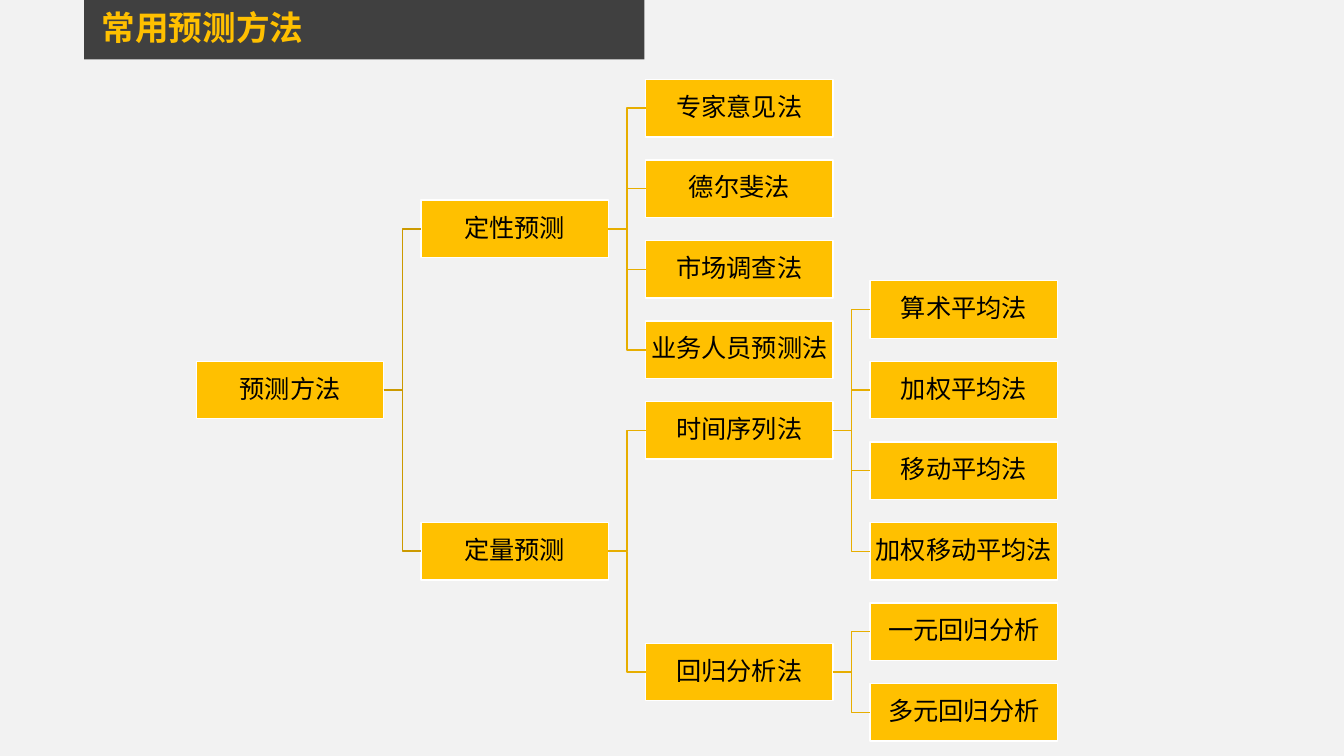
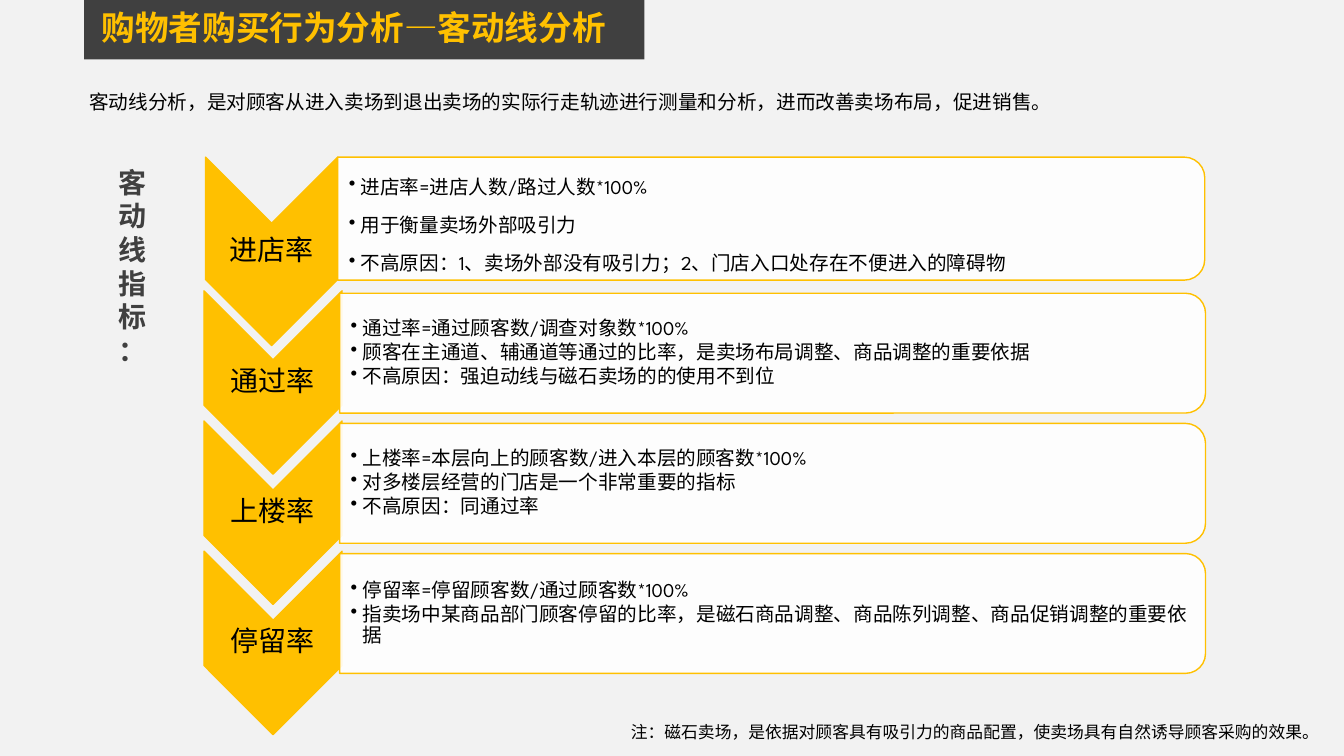
from lxml.etree import SubElement
from pptx import Presentation
from pptx.dml.color import RGBColor
from pptx.enum.lang import MSO_LANGUAGE_ID
from pptx.enum.shapes import MSO_CONNECTOR, MSO_SHAPE
from pptx.enum.text import MSO_ANCHOR, MSO_AUTO_SIZE, PP_ALIGN
from pptx.oxml.ns import qn
from pptx.util import Cm, Pt

AMBER = RGBColor(0xFF, 0xC0, 0x00)
BRANCH_LINE = RGBColor(0xE7, 0xAE, 0x00)
ROOT_LINE = RGBColor(0xCC, 0x9A, 0x00)
CHARCOAL = RGBColor(0x40, 0x40, 0x40)
PALE_GREY = RGBColor(0xF2, 0xF2, 0xF2)
WHITE = RGBColor(0xFF, 0xFF, 0xFF)
BLACK = RGBColor(0x00, 0x00, 0x00)
FONT = "League Spartan"


def add_run(para, text, size, color=BLACK, bold=False):
    span = para.add_run()
    span.text = text
    span.font.name = FONT
    span.font.size = Pt(size)
    span.font.bold = bold
    span.font.color.rgb = color
    span.font.language_id = MSO_LANGUAGE_ID.SIMPLIFIED_CHINESE


def add_text_box(page, left, top, width, height):
    box = page.shapes.add_textbox(Cm(left), Cm(top), Cm(width), Cm(height))
    box.text_frame.word_wrap = True
    return box


deck = Presentation()
deck.slide_width = Cm(33.87)
deck.slide_height = Cm(19.05)

# Shared look: background, title band and title position
background = deck.slide_master.background.fill
background.solid()
background.fore_color.rgb = PALE_GREY

layout = deck.slide_layouts[5]
title_area = layout.placeholders[0]
title_area.left, title_area.top = Cm(2.31), Cm(0.15)
title_area.width, title_area.height = Cm(15.11), Cm(1.27)
title_area.text_frame.vertical_anchor = MSO_ANCHOR.TOP
title_area.text_frame.auto_size = MSO_AUTO_SIZE.NONE

pages = []
for heading in ("常用预测方法", "购物者购买行为分析—客动线分析"):
    page = deck.slides.add_slide(layout)
    para = page.shapes.title.text_frame.paragraphs[0]
    para.alignment = PP_ALIGN.LEFT
    para.line_spacing = 0.9
    add_run(para, heading, 24, AMBER, bold=True)
    pages.append(page)
tree_page, flow_page = pages

band = tree_page.shapes.add_shape(MSO_SHAPE.RECTANGLE, Cm(2.12), 0, Cm(14.12), Cm(1.5))
band.shadow.inherit = False
band.fill.solid()
band.fill.fore_color.rgb = CHARCOAL
band.line.fill.background()
layout.shapes.element.insert(2, band.element)  # behind the title, on every page

# Slide 1: tree of forecasting methods
BOX_WIDTH, BOX_HEIGHT = 4.72, 1.45
TREE_LEFT, TREE_TOP = 4.95, 2.0
COLUMN_PITCH, ROW_PITCH = 5.66, 2.03

QUALITATIVE = ["专家意见法", "德尔斐法", "市场调查法", "业务人员预测法"]
TIME_SERIES = ["算术平均法", "加权平均法", "移动平均法", "加权移动平均法"]
REGRESSION = ["一元回归分析", "多元回归分析"]

# Name, column, children; children come before their parent
NODES = [(name, 2, []) for name in QUALITATIVE]
NODES += [(name, 3, []) for name in TIME_SERIES + REGRESSION]
NODES += [
    ("时间序列法", 2, TIME_SERIES),
    ("回归分析法", 2, REGRESSION),
    ("定性预测", 1, QUALITATIVE),
    ("定量预测", 1, ["时间序列法", "回归分析法"]),
    ("预测方法", 0, ["定性预测", "定量预测"]),
]
next_leaf_row = {2: 0, 3: 2.5}
rows, boxes = {}, {}
for name, column, children in NODES:
    if children:
        rows[name] = (rows[children[0]] + rows[children[-1]]) / 2
    else:
        rows[name] = next_leaf_row[column]
        next_leaf_row[column] += 1
    box = tree_page.shapes.add_shape(
        MSO_SHAPE.RECTANGLE,
        Cm(TREE_LEFT + column * COLUMN_PITCH), Cm(TREE_TOP + rows[name] * ROW_PITCH),
        Cm(BOX_WIDTH), Cm(BOX_HEIGHT))
    box.shadow.inherit = False
    box.fill.solid()
    box.fill.fore_color.rgb = AMBER
    box.line.color.rgb = WHITE
    box.line.width = Pt(1)
    frame = box.text_frame
    frame.margin_left = frame.margin_right = frame.margin_top = frame.margin_bottom = Cm(0.03)
    para = frame.paragraphs[0]
    para.alignment = PP_ALIGN.CENTER
    para.line_spacing = 0.9
    add_run(para, name, 18)
    boxes[name] = box

    for child in children:
        link = tree_page.shapes.add_connector(MSO_CONNECTOR.ELBOW, 0, 0, 0, 0)
        link.begin_connect(box, 3)
        link.end_connect(boxes[child], 1)
        link.line.color.rgb = BRANCH_LINE if column else ROOT_LINE
        link.line.width = Pt(1)
        SubElement(link.element.spPr, qn("a:effectLst"))

# Slide 2: shopper flow indicators
intro = add_text_box(flow_page, 2.0, 2.13, 31.45, 0.86)
add_run(intro.text_frame.paragraphs[0],
        "客动线分析，是对顾客从进入卖场到退出卖场的实际行走轨迹进行测量和分析，进而改善卖场布局，促进销售。", 14)

side_heading = add_text_box(flow_page, 2.74, 4.04, 0.76, 5.38)
side_heading.fill.solid()
side_heading.fill.fore_color.rgb = PALE_GREY
add_run(side_heading.text_frame.paragraphs[0], "客动线指标：", 20, CHARCOAL, bold=True)

INDICATORS = [
    ("进店率", ["进店率=进店人数/路过人数*100%",
             "用于衡量卖场外部吸引力",
             "不高原因：1、卖场外部没有吸引力；2、门店入口处存在不便进入的障碍物"]),
    ("通过率", ["通过率=通过顾客数/调查对象数*100%",
             "顾客在主通道、辅通道等通过的比率，是卖场布局调整、商品调整的重要依据",
             "不高原因：强迫动线与磁石卖场的的使用不到位"]),
    ("上楼率", ["上楼率=本层向上的顾客数/进入本层的顾客数*100%",
             "对多楼层经营的门店是一个非常重要的指标",
             "不高原因：同通过率"]),
    ("停留率", ["停留率=停留顾客数/通过顾客数*100%",
             "指卖场中某商品部门顾客停留的比率，是磁石商品调整、商品陈列调整、商品促销调整的重要依据"]),
]
STEP_PITCH = 3.28
for number, (label, facts) in enumerate(INDICATORS):
    # Left, top, width, height as seen; the first step is slightly taller
    if number == 0:
        chevron_area = (5.18, 3.96, 3.33, 4.75)
        card_area = (8.51, 3.96, 21.85, 3.1)
        spacing = 1.5
    else:
        offset = (number - 1) * STEP_PITCH
        chevron_area = (5.14, 7.33 + offset, 3.48, 4.62)
        card_area = (8.56, 7.39 + offset, 21.82, 3.02)
        spacing = 0.9

    for preset, color, area in ((MSO_SHAPE.CHEVRON, AMBER, chevron_area),
                                (MSO_SHAPE.ROUND_2_SAME_RECTANGLE, WHITE, card_area)):
        left, top, width, height = area
        shape = flow_page.shapes.add_shape(
            preset, Cm(left + (width - height) / 2), Cm(top + (height - width) / 2),
            Cm(height), Cm(width))
        shape.rotation = 90
        shape.shadow.inherit = False
        shape.fill.solid()
        shape.fill.fore_color.rgb = color
        shape.line.color.rgb = AMBER
        shape.line.width = Pt(1)
    card_color = shape.element.spPr.find(qn("a:solidFill")).find(qn("a:srgbClr"))
    SubElement(card_color, qn("a:alpha"), val="90000")

    left, top, width, height = chevron_area
    name_box = add_text_box(flow_page, left, top + height / 2 - 0.58, width, 1.16)
    name_box.text_frame.vertical_anchor = MSO_ANCHOR.MIDDLE
    para = name_box.text_frame.paragraphs[0]
    para.alignment = PP_ALIGN.CENTER
    para.line_spacing = 0.9
    add_run(para, label, 20)

    left, top, width, height = card_area
    frame = add_text_box(flow_page, left, top, width - 0.18, height).text_frame
    frame.vertical_anchor = MSO_ANCHOR.MIDDLE
    frame.margin_left, frame.margin_right = Cm(0.28), Cm(0.02)
    frame.margin_top = frame.margin_bottom = Cm(0.03)
    for position, fact in enumerate(facts):
        para = frame.add_paragraph() if position else frame.paragraphs[0]
        para.line_spacing = spacing
        para.space_after = Pt(2.1)
        properties = para._p.get_or_add_pPr()
        properties.set("marL", str(Cm(0.3)))
        properties.set("indent", str(-Cm(0.3)))
        SubElement(properties, qn("a:buChar"), char="•")
        add_run(para, fact, 14)

note = add_text_box(flow_page, 15.65, 18.06, 17.78, 0.76)
add_run(note.text_frame.paragraphs[0],
        "注：磁石卖场，是依据对顾客具有吸引力的商品配置，使卖场具有自然诱导顾客采购的效果。", 12)

deck.save("out.pptx")
